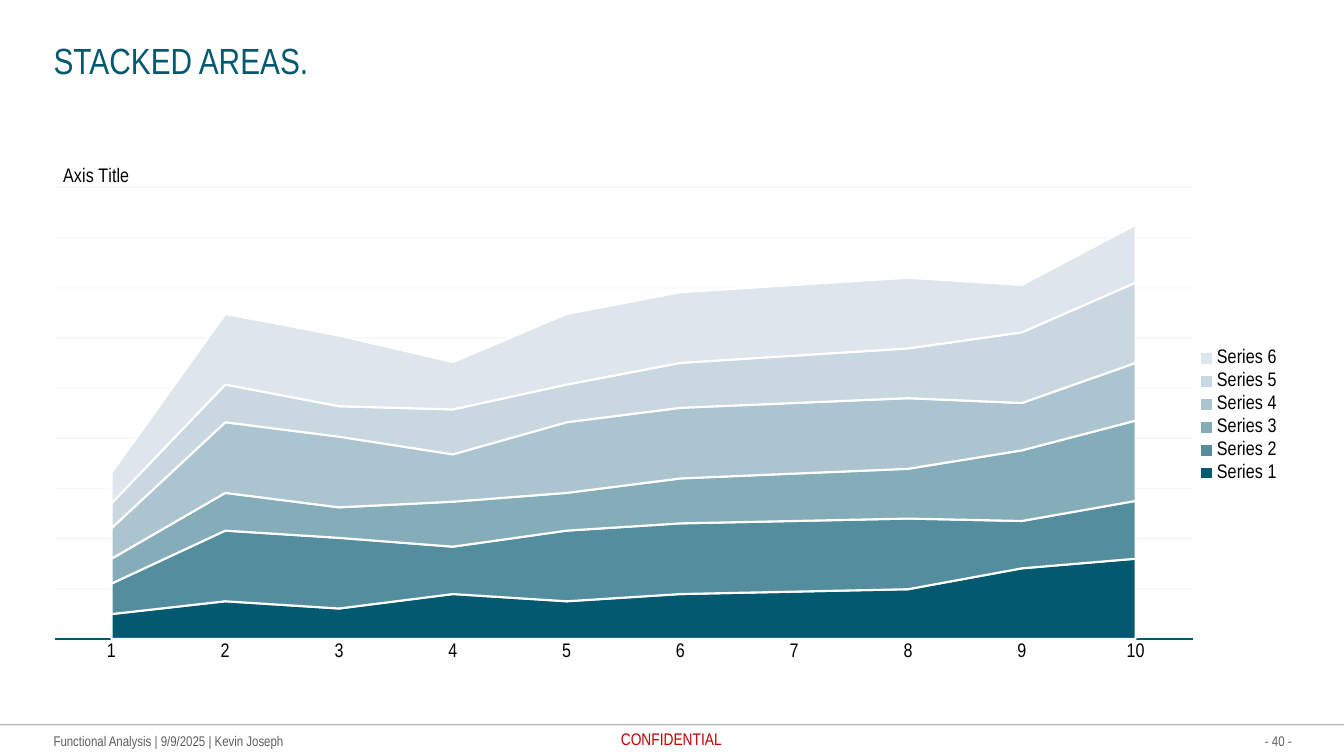
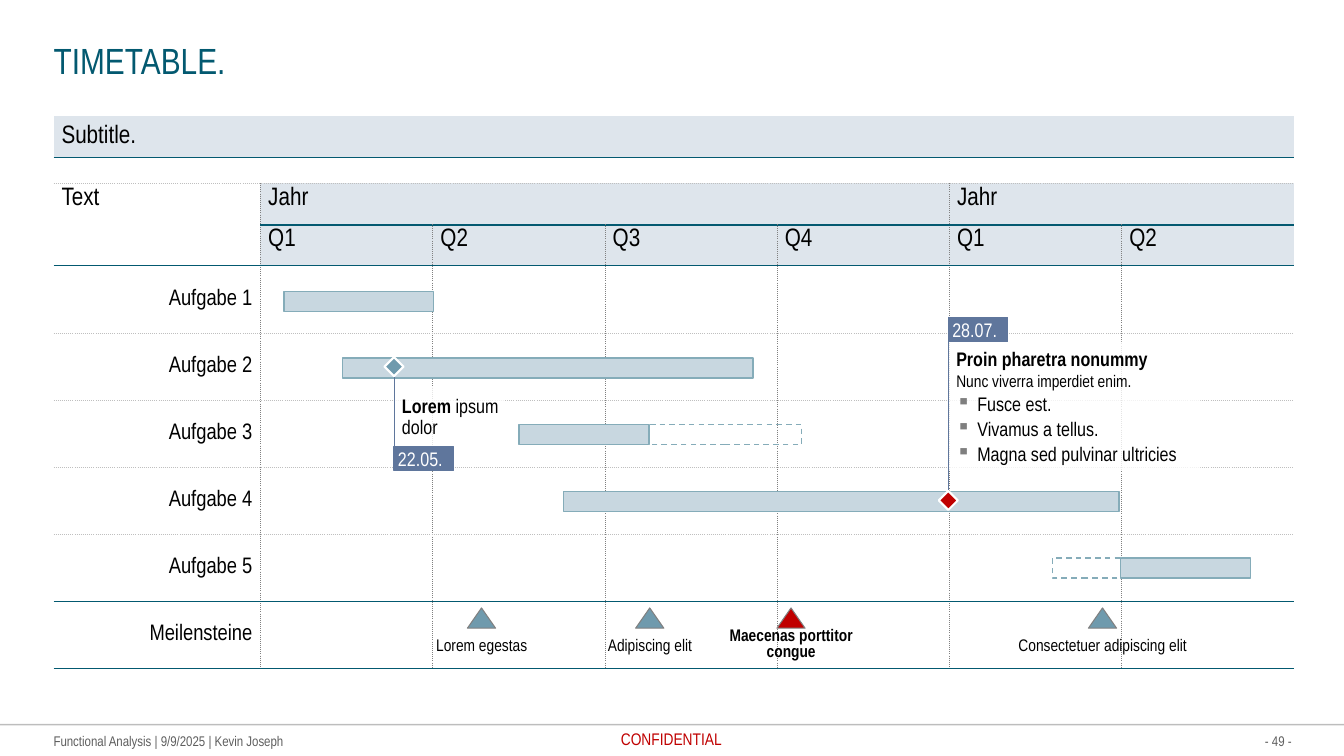
from lxml.etree import SubElement
from pptx import Presentation
from pptx.chart.data import CategoryChartData as ChartData
from pptx.dml.color import RGBColor
from pptx.enum.chart import XL_CHART_TYPE as ChartType, XL_LEGEND_POSITION as LegendSide
from pptx.enum.chart import XL_TICK_LABEL_POSITION as LabelSide, XL_TICK_MARK as Tick
from pptx.enum.dml import MSO_LINE as Dash
from pptx.enum.shapes import MSO_CONNECTOR as Connector, MSO_SHAPE as Shape
from pptx.enum.text import MSO_ANCHOR as Anchor, PP_ALIGN as Align
from pptx.oxml.ns import qn
from pptx.util import Cm, Pt

TEAL, GREY, RED, BLACK, WHITE = "035970", "5E5E5E", "C00000", "000000", "FFFFFF"
BAND, BAR, BAR_EDGE, MARK, TAG = "DEE5EC", "C8D7E0", "85ACB9", "6F9AAD", "5F769C"
HEAVY = (TEAL, 1.5, "solid")
THIN = (TEAL, 0.75, "solid")
DOTTED = ("BFBFBF", 0.5, "sysDot")
DIVIDER = ("808080", 0.25, "dot")
PLAIN_TABLE = "{2D5ABB26-0587-4C30-8999-92F81FD0307C}"
LEFT, WIDTH = 1.35, 31.2


def rgb(value):
    return RGBColor.from_string(value)


def paint(fill, color, opacity=100):
    if color is None:
        fill.background()
        return
    fill.solid()
    fill.fore_color.rgb = rgb(color)
    if opacity < 100:
        tint = fill._xPr.find(qn("a:solidFill"))[0]
        SubElement(tint, qn("a:alpha"), val=str(opacity * 1000))


def stroke(line, color, width=1, dash=None, opacity=100):
    paint(line.fill, color, opacity)
    if color:
        line.width = Pt(width)
    if dash:
        line.dash_style = dash


def write(paragraph, text, size=14, color=BLACK, bold=False, align=None,
          spacing=None, before=None, bullet=None):
    if bullet:
        props = paragraph._p.get_or_add_pPr()
        props.set("marL", str(Cm(0.53)))
        props.set("indent", str(-Cm(0.53)))
        tint = SubElement(props, qn("a:buClr"))
        SubElement(tint, qn("a:srgbClr"), val="7F7F7F")
        SubElement(props, qn("a:buChar"), char=bullet)
    if align is not None:
        paragraph.alignment = align
    if spacing:
        paragraph.line_spacing = spacing
    if before:
        paragraph.space_before = before
    run = paragraph.add_run()
    run.text = text
    font = run.font
    font.name, font.size, font.bold = Deck.FONT, Pt(size), bold
    font.color.rgb = rgb(color)


def place(part, **fractions):
    layout = part.find(qn("c:layout"))
    if layout is None:
        layout = part.makeelement(qn("c:layout"))
        part.insert(0 if part.find(qn("c:tx")) is None else 1, layout)
    manual = SubElement(layout, qn("c:manualLayout"))
    if "w" in fractions:
        SubElement(manual, qn("c:layoutTarget"), val="inner")
    for side in "xy":
        SubElement(manual, qn(f"c:{side}Mode"), val="edge")
    for name, value in fractions.items():
        SubElement(manual, qn(f"c:{name}"), val=str(value))


class Deck:
    FONT = "Arial Narrow"

    def __init__(self):
        self.prs = Presentation()
        self.prs.slide_width, self.prs.slide_height = Cm(33.87), Cm(19.05)
        self.slide = None

    def start(self, title, number):
        self.slide = self.prs.slides.add_slide(self.prs.slide_layouts[6])
        self.line(0, 18.26, 33.87, 18.26, BLACK, 1, 25)
        self.text(LEFT, 18.46, 8, 0.43, "Functional Analysis | 9/9/2025 | Kevin Joseph",
                  size=10, color=GREY)
        self.text(29.55, 18.46, 3, 0.43, f"- {number} -", size=10, color=GREY,
                  align=Align.RIGHT)
        self.text(14.92, 18.36, 4, 0.51, "CONFIDENTIAL", size=12, color=RED,
                  align=Align.CENTER)
        self.text(LEFT, 0.97, WIDTH, 1.1, title, size=26, color=TEAL)

    def frame(self, shape, insets=(0, 0, 0, 0), anchor=Anchor.MIDDLE):
        frame = shape.text_frame
        frame.word_wrap = True
        frame.vertical_anchor = anchor
        (frame.margin_left, frame.margin_top,
         frame.margin_right, frame.margin_bottom) = map(Cm, insets)
        return frame

    def text(self, x, y, w, h, text, **look):
        box = self.slide.shapes.add_textbox(Cm(x), Cm(y), Cm(w), Cm(h))
        write(self.frame(box).paragraphs[0], text, **look)

    def line(self, x1, y1, x2, y2, color, width=0.75, opacity=100):
        rule = self.slide.shapes.add_connector(
            Connector.STRAIGHT, Cm(x1), Cm(y1), Cm(x2), Cm(y2))
        stroke(rule.line, color, width, opacity=opacity)
        SubElement(rule._element.spPr, qn("a:effectLst"))

    def shape(self, kind, x, y, w, h, fill, edge=None, width=1, dash=None, opacity=100):
        shape = self.slide.shapes.add_shape(kind, Cm(x), Cm(y), Cm(w), Cm(h))
        shape.shadow.inherit = False
        paint(shape.fill, fill, opacity)
        stroke(shape.line, edge, width, dash)
        return shape

    def table(self, x, y, widths, heights):
        table = self.slide.shapes.add_table(
            len(heights), len(widths), Cm(x), Cm(y),
            Cm(sum(widths)), Cm(sum(heights))).table
        table.first_row = table.horz_banding = False
        table._tbl.tblPr.find(qn("a:tableStyleId")).text = PLAIN_TABLE
        for column, width in zip(table.columns, widths):
            column.width = Cm(width)
        for row, height in zip(table.rows, heights):
            row.height = Cm(height)
        return table

    def cell(self, cell, fill, edges, text=None, anchor=Anchor.MIDDLE, **look):
        cell.vertical_anchor = anchor
        cell.margin_left = cell.margin_right = Cm(0.2)
        cell.margin_top = cell.margin_bottom = Cm(0.1)
        props = cell._tc.get_or_add_tcPr()
        for side in "LRTB":
            if edges.get(side):
                color, width, dash = edges[side]
                edge = SubElement(props, qn(f"a:ln{side}"), w=str(Pt(width)))
                tint = SubElement(edge, qn("a:solidFill"))
                SubElement(tint, qn("a:srgbClr"), val=color)
                SubElement(edge, qn("a:prstDash"), val=dash)
        paint(cell.fill, fill)
        if text:
            write(cell.text_frame.paragraphs[0], text, **look)

    def areas(self, x, y, w, h, categories, series, axis_title):
        data = ChartData()
        data.categories = categories
        for name, values, _ in series:
            data.add_series(name, values)
        chart = self.slide.shapes.add_chart(
            ChartType.AREA_STACKED, Cm(x), Cm(y), Cm(w), Cm(h), data).chart
        chart.font.name, chart.font.size = self.FONT, Pt(14)
        chart.font.color.rgb = rgb(BLACK)
        chart.has_title = False
        chart.has_legend = True
        chart.legend.position = LegendSide.RIGHT
        chart.legend.include_in_layout = False
        plot = chart.plots[0]
        plot.vary_by_categories = False
        for area, (_, _, color) in zip(plot.series, series):
            paint(area.format.fill, color)
            stroke(area.format.line, WHITE, 1.5)
        bottom, scale = chart.category_axis, chart.value_axis
        bottom.major_tick_mark = bottom.minor_tick_mark = Tick.NONE
        bottom.has_major_gridlines = False
        stroke(bottom.format.line, TEAL, 1.5)
        scale.minimum_scale, scale.maximum_scale, scale.major_unit = 0, 562.5, 62.5
        scale.major_tick_mark = scale.minor_tick_mark = Tick.NONE
        scale.tick_label_position = LabelSide.NONE
        stroke(scale.format.line, None)
        scale.has_major_gridlines = True
        stroke(scale.major_gridlines.format.line, "D9D9D9", 0.75, opacity=25)
        heading = scale.axis_title
        write(heading.text_frame.paragraphs[0], axis_title)
        turn = heading.text_frame._txBody.bodyPr
        turn.set("rot", "0")
        turn.set("vert", "horz")
        place(heading._element, x=0.004, y=0.01)
        space = chart._chartSpace
        place(space.chart.plotArea, x=0.0, y=0.06, w=0.92, h=0.87)
        for crossing in space.xpath(".//c:crossBetween"):
            crossing.set("val", "between")

    def callout(self, x, y, w, h):
        note = self.shape(Shape.RECTANGLE, x, y, w, h, WHITE, opacity=80)
        return self.frame(note, (0.2, 0.2, 0, 0.2), Anchor.TOP)

    def date_mark(self, x, tag_y, line_top, line_end, mark_y, date, color):
        tag = self.shape(Shape.RECTANGLE, x, tag_y, 1.5, 0.61, TAG, TAG, 0.75)
        write(self.frame(tag, (0.1, 0, 0.1, 0)).paragraphs[0], date,
              color=WHITE, align=Align.LEFT)
        self.line(x, line_top, x, line_end, TAG)
        self.shape(Shape.DIAMOND, x - 0.24, mark_y - 0.24, 0.48, 0.48, color, WHITE, 1.5)


def stacked_areas(deck):
    deck.start("STACKED AREAS.", 40)
    odd = (31, 47, 38, 56, 47, 56, 59, 62, 88, 100)
    even = (38, 88, 88, 59, 88, 88, 88, 88, 59, 72)
    shades = (TEAL, "548D9E", BAR_EDGE, "ABC4CF", BAR, BAND)
    series = [(f"Series {i}", odd if i % 2 else even, shade)
              for i, shade in enumerate(shades, 1)]
    deck.areas(LEFT, 3.94, WIDTH, 13.08, [str(i) for i in range(1, 11)], series, "Axis Title")


def rule_below(row, col):
    if row == 0:
        return HEAVY if col else THIN
    return THIN if row in (1, 6, 7) else DOTTED


def rule_left(row, col):
    return DIVIDER if col in ((1, 5) if row == 0 else range(1, 7)) else None


def calendar(deck):
    rows = [["Text", "Jahr", "", "", "", "Jahr", ""],
            ["", "Q1", "Q2", "Q3", "Q4", "Q1", "Q2"]]
    rows += [[f"Aufgabe {i}"] + [""] * 6 for i in range(1, 6)]
    rows.append(["Meilensteine"] + [""] * 6)
    table = deck.table(LEFT, 4.62, [5.21] + [4.34] * 6, [1.04] * 2 + [1.69] * 6)
    for r, row in enumerate(rows):
        header = r < 2
        look = (dict(size=18, anchor=Anchor.TOP) if header
                else dict(size=16, align=Align.RIGHT))
        for c, text in enumerate(row):
            edges = {"L": rule_left(r, c), "R": rule_left(r, c + 1),
                     "T": rule_below(r - 1, c), "B": rule_below(r, c)}
            deck.cell(table.cell(r, c), BAND if header and c else WHITE, edges, text, **look)
    for first, last in (((0, 0), (1, 0)), ((0, 1), (0, 4)), ((0, 5), (0, 6))):
        table.cell(*first).merge(table.cell(*last))


def timetable(deck):
    deck.start("TIMETABLE.", 49)
    subtitle = deck.table(LEFT, 2.93, [31.25], [1.04])
    deck.cell(subtitle.cell(0, 0), BAND, {"B": HEAVY}, "Subtitle.", size=18)
    calendar(deck)

    milestones = (("Lorem egestas", 12.14, False), ("Adipiscing elit", 16.38, False),
                  ("Maecenas porttitor congue", 19.94, True),
                  ("Consectetuer adipiscing elit", 27.79, False))
    for label, x, key in milestones:
        deck.shape(Shape.ISOSCELES_TRIANGLE, x - 0.36, 15.32, 0.71, 0.51,
                   RED if key else MARK, "808080", 0.75)
        w = 3.84 if key else 4.8
        deck.text(x - w / 2, 15.84, w, 0.8, label, size=12, bold=key,
                  align=Align.CENTER, spacing=0.8 if key else None)

    bars = ((0, 7.16, 3.76, True), (1, 8.64, 10.34, True), (2, 16.36, 3.84, False),
            (2, 13.08, 3.28, True), (3, 14.2, 14, True), (4, 26.52, 1.72, False),
            (4, 28.24, 3.28, True))
    for task, x, w, firm in bars:
        deck.shape(Shape.RECTANGLE, x, 7.34 + 1.68 * task, w, 0.51, BAR if firm else None,
                   BAR_EDGE, 1, None if firm else Dash.DASH)

    lorem = deck.callout(9.93, 9.78, 2.77, 1.47).paragraphs[0]
    write(lorem, "Lorem ", bold=True, align=Align.LEFT, spacing=Pt(15))
    write(lorem, "ipsum dolor")
    deck.date_mark(9.93, 11.25, 9.47, 11.35, 9.24, "22.05.", MARK)

    proin = deck.callout(23.9, 8.61, 6.35, 3.25)
    write(proin.paragraphs[0], "Proin pharetra nonummy", bold=True,
          align=Align.LEFT, spacing=Pt(15))
    write(proin.add_paragraph(), "Nunc viverra imperdiet enim.", size=12, align=Align.LEFT)
    for item in ("Fusce est.", "Vivamus a tellus.", "Magna sed pulvinar ultricies"):
        write(proin.add_paragraph(), item, align=Align.LEFT, before=Pt(1), bullet="▪")
    deck.date_mark(23.9, 8, 8.31, 12.37, 12.61, "28.07.", RED)


def main():
    deck = Deck()
    stacked_areas(deck)
    timetable(deck)
    deck.prs.save("out.pptx")


if __name__ == "__main__":
    main()
